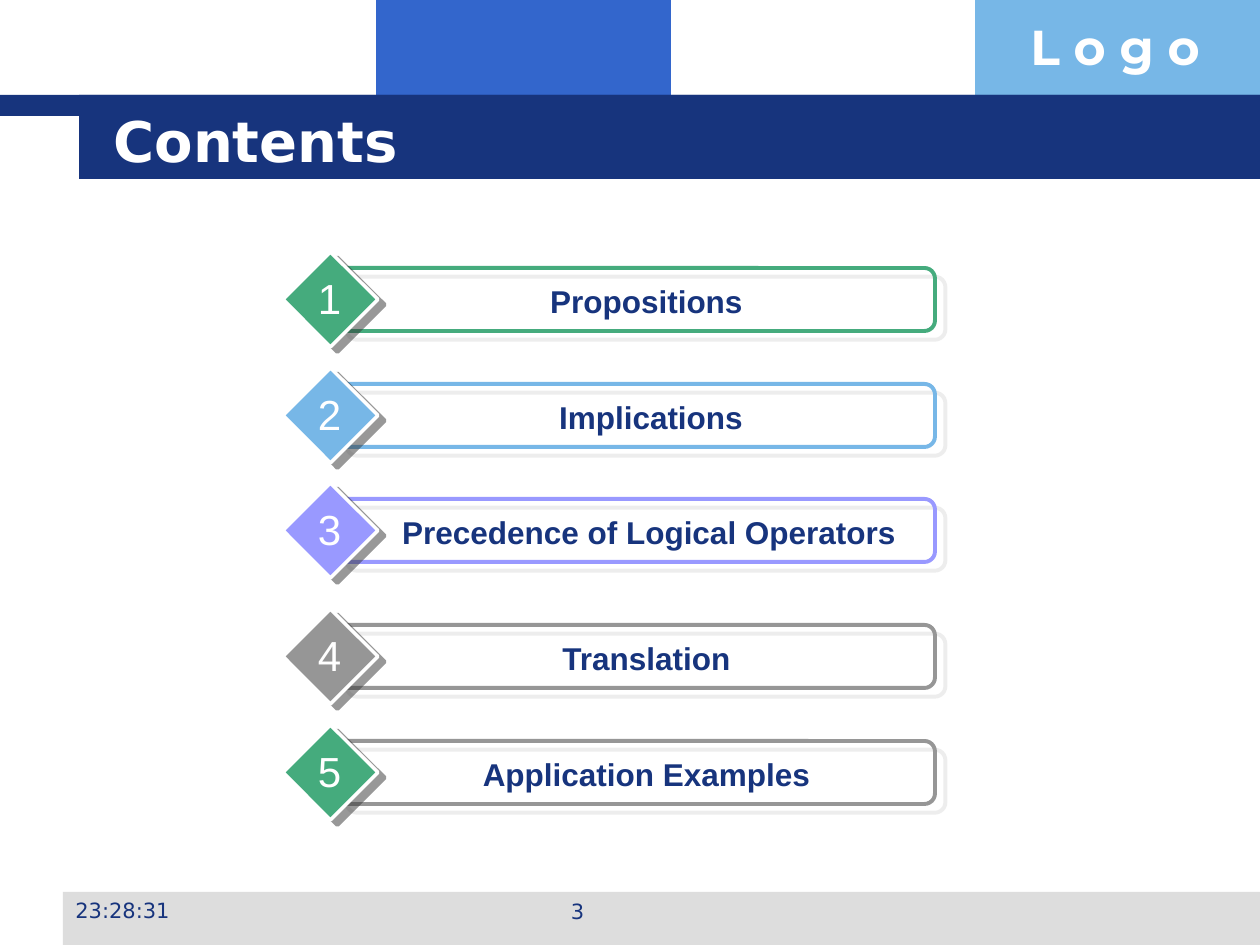
from lxml import etree
from pptx import Presentation
from pptx.dml.color import RGBColor
from pptx.enum.shapes import MSO_SHAPE
from pptx.enum.text import MSO_ANCHOR, MSO_AUTO_SIZE, PP_ALIGN
from pptx.oxml.ns import qn
from pptx.util import Emu, Pt

RECT, ROUNDED, DIAMOND = MSO_SHAPE.RECTANGLE, MSO_SHAPE.ROUNDED_RECTANGLE, MSO_SHAPE.DIAMOND
LEFT, CENTER = PP_ALIGN.LEFT, PP_ALIGN.CENTER
TOP, MIDDLE = MSO_ANCHOR.TOP, MSO_ANCHOR.MIDDLE
NO_AUTOFIT = MSO_AUTO_SIZE.NONE

PX = 914400 / 126
NAVY, BLUE, SKY, GREEN = "17347D", "3366CC", "77B7E7", "45AB7D"
VIOLET, GRAY, SILVER, DARK, WHITE = "9999FF", "969696", "DDDDDD", "333333", "FFFFFF"
HEADING_FONT, BODY_FONT, LOGO_FONT = "DejaVu Sans", "Arial", "Montserrat"

BANDS = [
    ((376, 0, 295, 116), BLUE),
    ((975, 0, 285, 116), SKY),
    ((63, 892, 1197, 53), SILVER),
    ((0, 95, 1260, 21), NAVY),
    ((79, 95, 1181, 84), NAVY),
]
# top, label left, label width, bar colour, diamond colour, label
TOPICS = [
    (252, 368, 557, GREEN, GREEN, "Propositions"),
    (368, 378, 546, SKY, SKY, "Implications"),
    (483, 376, 546, VIOLET, VIOLET, "Precedence of Logical Operators"),
    (609, 368, 557, GRAY, GRAY, "Translation"),
    (725, 368, 557, GRAY, GREEN, "Application Examples"),
]


def rgb(color):
    return RGBColor.from_string(color)


def emu(*lengths):
    return [Emu(round(length * PX)) for length in lengths]


def write(frame, text, size=12, color=NAVY, font=HEADING_FONT, bold=False,
          align=LEFT, anchor=TOP, wrap=True):
    frame.auto_size = NO_AUTOFIT
    frame.word_wrap = wrap
    frame.vertical_anchor = anchor
    paragraph = frame.paragraphs[0]
    paragraph.alignment = align
    run = paragraph.add_run()
    run.text = text
    run.font.size, run.font.name, run.font.bold = Pt(size), font, bold
    run.font.color.rgb = rgb(color)


class ContentsSlide:
    """Holds the deck and its current slide, and draws each kind of element."""

    def __init__(self):
        self.deck = Presentation()
        self.deck.slide_width, self.deck.slide_height = emu(1260, 945)
        self.slide = self.deck.slides.add_slide(self.deck.slide_layouts[5])

    def shape(self, kind, box, fill=None, line=None, width=1):
        shape = self.slide.shapes.add_shape(kind, *emu(*box))
        shape.shadow.inherit = False
        if fill:
            shape.fill.solid()
            shape.fill.fore_color.rgb = rgb(fill)
        else:
            shape.fill.background()
        if line:
            shape.line.color.rgb = rgb(line)
            shape.line.width = Pt(width)
        else:
            shape.line.fill.background()
        return shape

    def cast_shadow(self, shape, color, distance, angle):
        effects = shape._element.spPr.find(qn("a:effectLst"))
        shadow = etree.SubElement(effects, qn("a:outerShdw"), blurRad="0",
                                  dist=str(Pt(distance)), dir=str(angle * 60000),
                                  algn="ctr", rotWithShape="0")
        tint = etree.SubElement(shadow, qn("a:srgbClr"), val=color)
        etree.SubElement(tint, qn("a:alpha"), val="50000")

    def text(self, box, text, **style):
        write(self.slide.shapes.add_textbox(*emu(*box)).text_frame, text, **style)

    def title(self, box, text, **style):
        title = self.slide.shapes.title
        title.left, title.top, title.width, title.height = emu(*box)
        write(title.text_frame, text, **style)

    def topic(self, number, top, left, width, bar_color, diamond_color, label):
        bar = self.shape(ROUNDED, (336, top + 16, 599, 63), line=bar_color, width=2.25)
        self.cast_shadow(bar, SILVER, 7.8, 40)
        diamond = self.shape(DIAMOND, (283, top, 95, 95), diamond_color, WHITE, 2)
        self.cast_shadow(diamond, DARK, 5, 37)
        self.text((left, top + 24, width, 50), label, size=18, font=BODY_FONT,
                  bold=True, align=CENTER)
        self.text((305, top + 14, 49, 63), str(number), size=24, color=WHITE,
                  font=BODY_FONT, align=CENTER, wrap=False)


def main():
    page = ContentsSlide()
    for box, color in BANDS:
        page.shape(RECT, box, color)
    page.text((1018, 10, 242, 72), "L o g o", size=28, color=WHITE,
              font=LOGO_FONT, bold=True)
    # The title sits above the bands
    title = page.slide.shapes.title._element
    title.getparent().append(title)
    page.title((101, 101, 1075, 78), "Contents", size=32, color=WHITE,
               bold=True, anchor=MIDDLE)
    for number, topic in enumerate(TOPICS, 1):
        page.topic(number, *topic)
    page.text((431, 892, 293, 44), "3", align=CENTER)
    page.text((63, 891, 293, 44), "23:28:31")
    page.deck.save("out.pptx")


if __name__ == "__main__":
    main()
